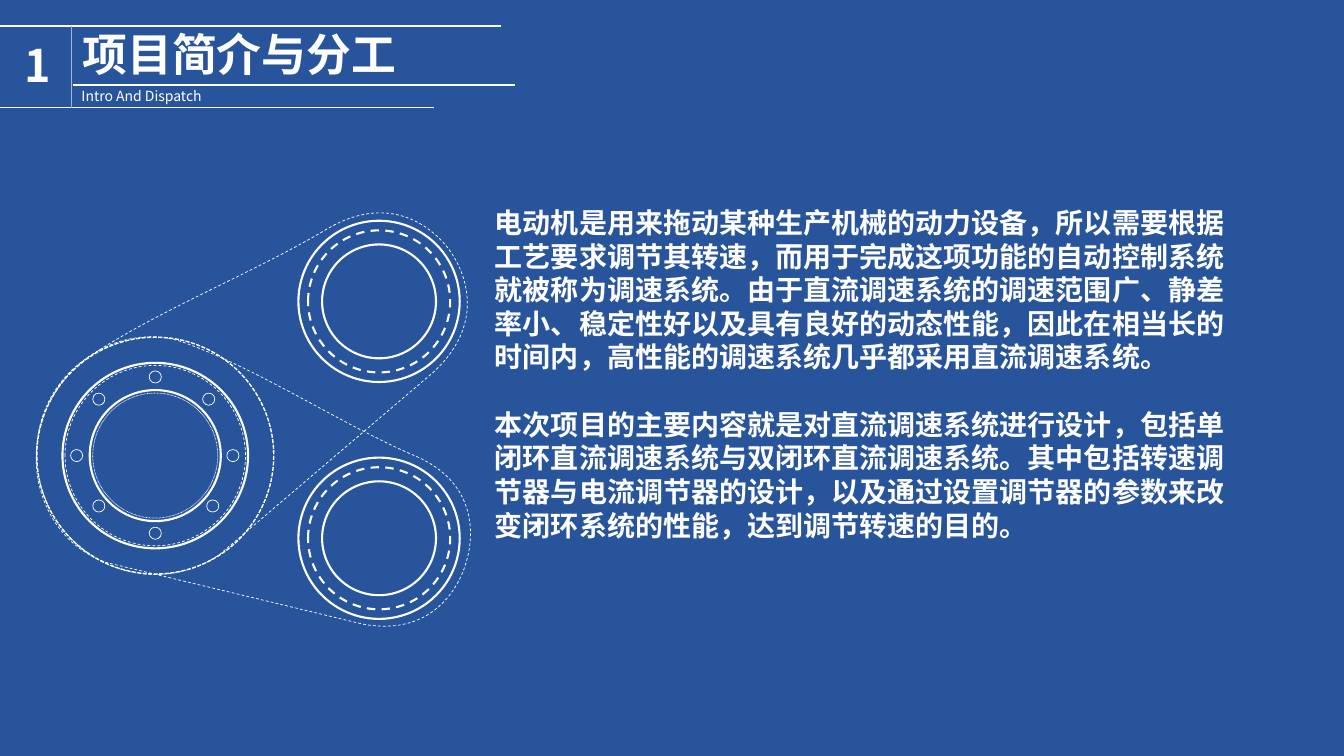
from math import cos, radians, sin

from lxml import etree
from pptx import Presentation
from pptx.dml.color import RGBColor
from pptx.enum.dml import MSO_LINE
from pptx.enum.shapes import MSO_CONNECTOR, MSO_SHAPE
from pptx.oxml.ns import qn
from pptx.util import Inches, Pt

STRAIGHT, OVAL = MSO_CONNECTOR.STRAIGHT, MSO_SHAPE.OVAL
SOLID, DASH = MSO_LINE.SOLID, MSO_LINE.DASH
SQUARE_DOT, ROUND_DOT = MSO_LINE.SQUARE_DOT, MSO_LINE.ROUND_DOT
WHITE = RGBColor(0xFF, 0xFF, 0xFF)
BLUE = RGBColor(0x28, 0x54, 0x9C)
DIVIDER = RGBColor(0xA1, 0xB4, 0xD4)
FONT = "Noto Sans CJK SC"

NUMBER = "1"
TITLE = "项目简介与分工"
SUBTITLE = "Intro And Dispatch"
BODY = [
    "电动机是用来拖动某种生产机械的动力设备，所以需要根据工艺要求调节其转速，而用于完成这项功能的自动控制系统就被称为调速系统。由于直流调速系统的调速范围广、静差率小、稳定性好以及具有良好的动态性能，因此在相当长的时间内，高性能的调速系统几乎都采用直流调速系统。",
    "本次项目的主要内容就是对直流调速系统进行设计，包括单闭环直流调速系统与双闭环直流调速系统。其中包括转速调节器与电流调节器的设计，以及通过设置调节器的参数来改变闭环系统的性能，达到调节转速的目的。",
]

HEADER_LINES = [
    ((0, 0.26), (4.97, 0.26), WHITE, 1.5),
    ((0, 1.07), (4.3, 1.07), WHITE, 0.75),
    ((0.72, 0.84), (5.11, 0.84), WHITE, 1.5),
    ((0.71, 0.26), (0.71, 1.07), DIVIDER, 1),
]

BELTS = [
    ((0.16, 2.66, 4.73, 2.35), 325.5, (0.57, 5.18), [
        [(0.21, 4.64), (0.33, 3.92), (0.85, 3.56)],
        [(1.54, 3.09), (2.49, 2.72), (3.23, 2.28)],
        [(3.84, 1.91), (4.27, 2.23), (4.45, 2.47)],
        [(4.63, 2.71), (4.82, 3.22), (4.29, 3.7)],
        [(2.18, 5.5)],
        [(1.66, 5.86), (0.94, 5.72), (0.57, 5.18)],
    ]),
    ((0.3, 3.72, 4.44, 2.31), 19.8, (0.43, 4.13), [
        [(0.65, 3.53), (1.27, 3.2), (1.83, 3.4)],
        [(2.58, 3.67), (3.37, 4.2), (4.11, 4.52)],
        [(4.73, 4.78), (4.71, 5.31), (4.62, 5.59)],
        [(4.54, 5.87), (4.25, 6.32), (3.59, 6.19)],
        [(1.05, 5.58)],
        [(0.49, 5.38), (0.22, 4.73), (0.43, 4.13)],
    ]),
]

WHEEL_CENTRE = (1.54, 4.52)
WHEEL_RINGS = [(1.3, 1.5, SOLID), (1.84, 1.5, SOLID), (2.35, 1, SQUARE_DOT),
               (1.24, 0.5, ROUND_DOT), (1.79, 0.5, DASH)]
BOLT_CENTRES = [(1.54, 3.74), (0.98, 3.96), (2.07, 3.96), (2.31, 4.52),
                (0.76, 4.52), (1.54, 5.29), (0.98, 5.02), (2.11, 5.02)]
BOLT_RINGS = [(0.12, 0.5, SOLID)]
PULLEY_CENTRES = [(3.76, 2.99), (3.76, 5.34)]
PULLEY_RINGS = [(1.13, 1.5, SOLID), (1.6, 1.5, SOLID), (1.41, 1.5, DASH)]


def add_text(slide, paragraphs, box, size, bold=False, wrap=True, gap=0):
    frame = slide.shapes.add_textbox(*map(Inches, box)).text_frame
    frame.word_wrap = wrap
    for index, text in enumerate(paragraphs):
        paragraph = frame.paragraphs[0] if index == 0 else frame.add_paragraph()
        if index:
            paragraph.space_before = Pt(gap)
        run = paragraph.add_run()
        run.text = text
        font = run.font
        font.size, font.bold, font.name = Pt(size), bold, FONT
        font.color.rgb = WHITE
        east_asian = etree.SubElement(run._r.get_or_add_rPr(), qn("a:ea"))
        east_asian.set("typeface", FONT)


def set_outline(shape, width, dash):
    shape.shadow.inherit = False
    shape.fill.background()
    shape.line.color.rgb = WHITE
    shape.line.width = Pt(width)
    shape.line.dash_style = dash


def add_rings(slide, centre, rings):
    for diameter, width, dash in rings:
        left, top = (Inches(value - diameter / 2) for value in centre)
        ring = slide.shapes.add_shape(OVAL, left, top, Inches(diameter), Inches(diameter))
        set_outline(ring, width, dash)


def add_header_line(slide, start, end, color, width):
    line = slide.shapes.add_connector(STRAIGHT, *map(Inches, start + end))
    line.line.color.rgb = color
    line.line.width = Pt(width)
    etree.SubElement(line._element.spPr, qn("a:effectLst"))


def turn_back(point, centre, angle):
    x, y = point[0] - centre[0], point[1] - centre[1]
    cosine, sine = cos(radians(angle)), sin(radians(angle))
    return (Inches(centre[0] + x * cosine + y * sine),
            Inches(centre[1] - x * sine + y * cosine))


def add_belt(slide, box, angle, start, segments):
    left, top, width, height = box
    centre = (left + width / 2, top + height / 2)
    builder = slide.shapes.build_freeform(*turn_back(start, centre, angle))
    builder.add_line_segments([turn_back(point, centre, angle)
                               for segment in segments for point in segment], close=True)
    belt = builder.convert_to_shape()

    outline = next(belt._element.iter(qn("a:path")))
    shift_x, shift_y = belt.left - Inches(left), belt.top - Inches(top)
    for point in outline.iter(qn("a:pt")):
        point.set("x", str(int(point.get("x")) + shift_x))
        point.set("y", str(int(point.get("y")) + shift_y))
    outline.set("w", str(Inches(width)))
    outline.set("h", str(Inches(height)))
    steps = iter(outline.findall(qn("a:lnTo")))
    for segment in segments:
        first = next(steps)
        if len(segment) == 3:
            first.tag = qn("a:cubicBezTo")
            for step in (next(steps), next(steps)):
                first.append(step[0])
                outline.remove(step)

    belt.left, belt.top, belt.width, belt.height = map(Inches, box)
    belt.rotation = angle
    set_outline(belt, 0.5, DASH)


def main():
    presentation = Presentation()
    presentation.slide_width, presentation.slide_height = Inches(13.33), Inches(7.5)
    slide = presentation.slides.add_slide(presentation.slide_layouts[6])
    slide.background.fill.solid()
    slide.background.fill.fore_color.rgb = BLUE

    add_text(slide, [NUMBER], (0.14, 0.33, 0.44, 0.64), 32, bold=True)
    for start, end, color, width in HEADER_LINES:
        add_header_line(slide, start, end, color, width)
    add_text(slide, [TITLE], (0.72, 0.22, 3.34, 0.64), 32, bold=True, wrap=False)
    add_text(slide, [SUBTITLE], (0.71, 0.82, 1.47, 0.27), 10, wrap=False)

    for box, angle, start, segments in BELTS:
        add_belt(slide, box, angle, start, segments)
    add_rings(slide, WHEEL_CENTRE, WHEEL_RINGS)
    for centre in BOLT_CENTRES:
        add_rings(slide, centre, BOLT_RINGS)
    for centre in PULLEY_CENTRES:
        add_rings(slide, centre, PULLEY_RINGS)

    add_text(slide, BODY, (4.81, 1.99, 7.48, 3.77), 20, bold=True, gap=24)
    presentation.save("out.pptx")


if __name__ == "__main__":
    main()
